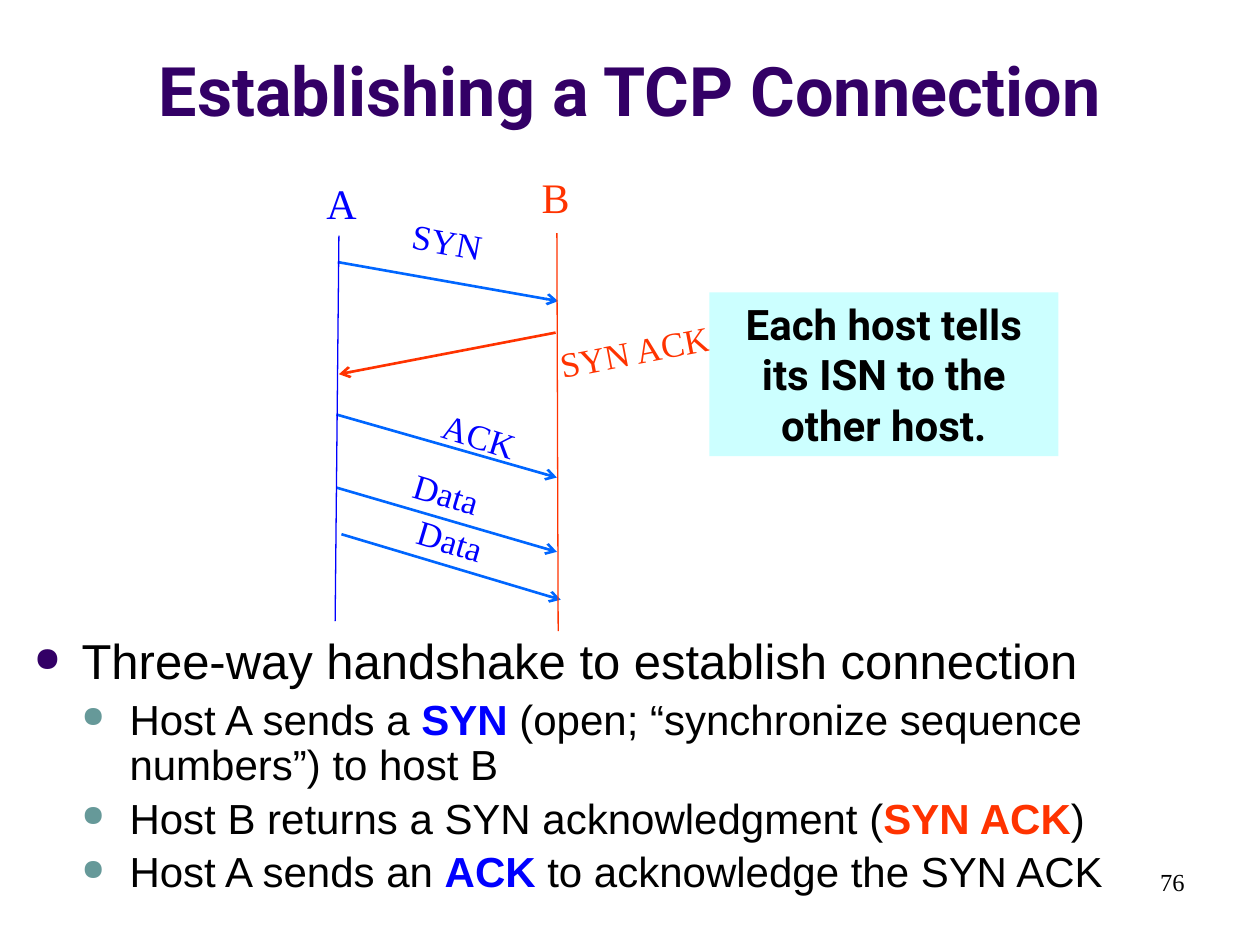
from lxml.etree import SubElement
from pptx import Presentation
from pptx.dml.color import RGBColor
from pptx.enum.shapes import MSO_CONNECTOR, MSO_SHAPE
from pptx.enum.text import MSO_ANCHOR, MSO_AUTO_SIZE, PP_ALIGN
from pptx.oxml.ns import qn
from pptx.util import Inches, Pt

BLUE, ARROW_BLUE, RED = "0000FF", "0066FF", "FF3300"
PURPLE, TEAL, BLACK, PALE_CYAN = "330066", "669999", "000000", "CCFFFF"
SERIF = "Times New Roman"


def rgb(color):
    """Return the colour for a hex string."""
    return RGBColor.from_string(color)


def style_run(run, size, font, color, bold=False):
    """Set the font of one run."""
    run.font.size = Pt(size)
    run.font.name = font
    run.font.bold = bold
    run.font.color.rgb = rgb(color)


def write_line(frame, text, size, font, color, bold=False, align=PP_ALIGN.CENTER):
    """Fill a text frame with one formatted paragraph."""
    frame.text = text
    paragraph = frame.paragraphs[0]
    paragraph.alignment = align
    style_run(paragraph.runs[0], size, font, color, bold)


def add_title(slide, text):
    """Place and format the title placeholder."""
    title = slide.shapes.title
    title.left, title.top = Inches(0), Inches(0.13)
    title.width, title.height = Inches(10), Inches(0.95)
    title.text_frame.auto_size = MSO_AUTO_SIZE.NONE
    title.text_frame.vertical_anchor = MSO_ANCHOR.BOTTOM
    write_line(title.text_frame, text, 39, "Roboto", PURPLE, True)


def add_label(slide, text, left, top, width, height, size, color, rotation=0):
    """Add a centred diagram label, turned to follow its arrow."""
    label = slide.shapes.add_textbox(
        Inches(left), Inches(top), Inches(width), Inches(height))
    label.rotation = rotation
    label.text_frame.word_wrap = False
    label.text_frame.vertical_anchor = MSO_ANCHOR.MIDDLE
    write_line(label.text_frame, text, size, SERIF, color)


def add_line(slide, start, end, color, width, arrow=False):
    """Draw a straight line, with an open arrowhead at its end if asked."""
    line = slide.shapes.add_connector(
        MSO_CONNECTOR.STRAIGHT, *(Inches(value) for value in start + end))
    line.line.color.rgb = rgb(color)
    line.line.width = Pt(width)
    properties = line._element.spPr
    if arrow:
        SubElement(properties.find(qn("a:ln")), qn("a:tailEnd"), type="arrow")
    SubElement(properties, qn("a:effectLst"))


def add_callout(slide, text):
    """Add the filled box beside the diagram."""
    callout = slide.shapes.add_shape(
        MSO_SHAPE.RECTANGLE, Inches(5.63), Inches(2.32), Inches(2.77), Inches(1.3))
    callout.shadow.inherit = False
    callout.fill.solid()
    callout.fill.fore_color.rgb = rgb(PALE_CYAN)
    callout.line.fill.background()
    callout.text_frame.word_wrap = True
    callout.text_frame.vertical_anchor = MSO_ANCHOR.TOP
    write_line(callout.text_frame, text, 24, "Roboto", BLACK, True)


def set_bullet(paragraph, level, color):
    """Give a paragraph a hanging bullet at its level."""
    properties = paragraph._p.get_or_add_pPr()
    properties.set("marL", str(Inches(0.38 * (level + 1))))
    properties.set("indent", str(Inches(-0.38)))
    bullet_color = SubElement(properties, qn("a:buClr"))
    SubElement(bullet_color, qn("a:srgbClr"), val=color)
    SubElement(properties, qn("a:buSzPct"), val="70000")
    SubElement(properties, qn("a:buChar"), char="●")


def add_bullets(slide, bullets):
    """Add the bulleted explanation from (level, [(text, colour)]) entries."""
    body = slide.shapes.add_textbox(
        Inches(0.17), Inches(5.01), Inches(9.33), Inches(2.3))
    frame = body.text_frame
    frame.word_wrap = True
    for index, (level, parts) in enumerate(bullets):
        paragraph = frame.add_paragraph() if index else frame.paragraphs[0]
        size = 24 if level else 28
        paragraph.level = level
        paragraph.line_spacing = 0.9
        paragraph.space_before = Pt(size * 0.2)
        set_bullet(paragraph, level, TEAL if level else PURPLE)
        for text, color in parts:
            run = paragraph.add_run()
            run.text = text
            style_run(run, size, "Arial", color, color != BLACK)


def add_page_number(slide, number):
    """Add the page number at the lower right."""
    page = slide.shapes.add_textbox(
        Inches(7.17), Inches(6.83), Inches(2.33), Inches(0.5))
    page.text_frame.word_wrap = True
    write_line(page.text_frame, number, 14, SERIF, BLACK, align=PP_ALIGN.RIGHT)


def main():
    """Build and save the slide."""
    deck = Presentation()
    deck.slide_width, deck.slide_height = Inches(10), Inches(7.5)
    slide = deck.slides.add_slide(deck.slide_layouts[5])
    add_title(slide, "Establishing a TCP Connection")

    add_bullets(slide, [
        (0, [("Three-way handshake to establish connection", BLACK)]),
        (1, [("Host A sends a ", BLACK), ("SYN", BLUE),
             (" (open; “synchronize sequence numbers”) to host B", BLACK)]),
        (1, [("Host B returns a SYN acknowledgment (", BLACK),
             ("SYN ACK", RED), (")", BLACK)]),
        (1, [("Host A sends an ", BLACK), ("ACK", BLUE),
             (" to acknowledge the SYN ACK", BLACK)]),
    ])
    add_page_number(slide, "76")

    messages = [
        ("SYN", (2.68, 2.08), (4.43, 2.39), ARROW_BLUE, BLUE, (3.17, 1.7, 0.76), 10.1),
        ("SYN ACK", (4.41, 2.64), (2.69, 2.97), RED, RED, (4.32, 2.57, 1.43), -10.9),
        ("ACK", (2.67, 3.29), (4.42, 3.79), ARROW_BLUE, BLUE, (3.41, 3.24, 0.79), 17.4),
        ("Data", (2.67, 3.87), (4.42, 4.38), ARROW_BLUE, BLUE, (3.18, 3.7, 0.73), 16.7),
        ("Data", (2.71, 4.24), (4.45, 4.76), ARROW_BLUE, BLUE, (3.21, 4.07, 0.73), 16.7),
    ]
    for text, start, end, arrow_color, text_color, place, rotation in messages:
        add_line(slide, start, end, arrow_color, 1.5, arrow=True)
        add_label(slide, text, *place, 0.43, 20, text_color, rotation)

    add_line(slide, (4.42, 1.85), (4.43, 5.01), RED, 0.75)
    add_line(slide, (2.69, 1.87), (2.66, 4.93), BLUE, 0.75)
    add_label(slide, "A", 2.49, 1.36, 0.44, 0.5, 24, BLUE)
    add_label(slide, "B", 4.2, 1.31, 0.42, 0.5, 24, RED)
    add_callout(slide, "Each host tells its ISN to the other host.")
    deck.save("out.pptx")


if __name__ == "__main__":
    main()
